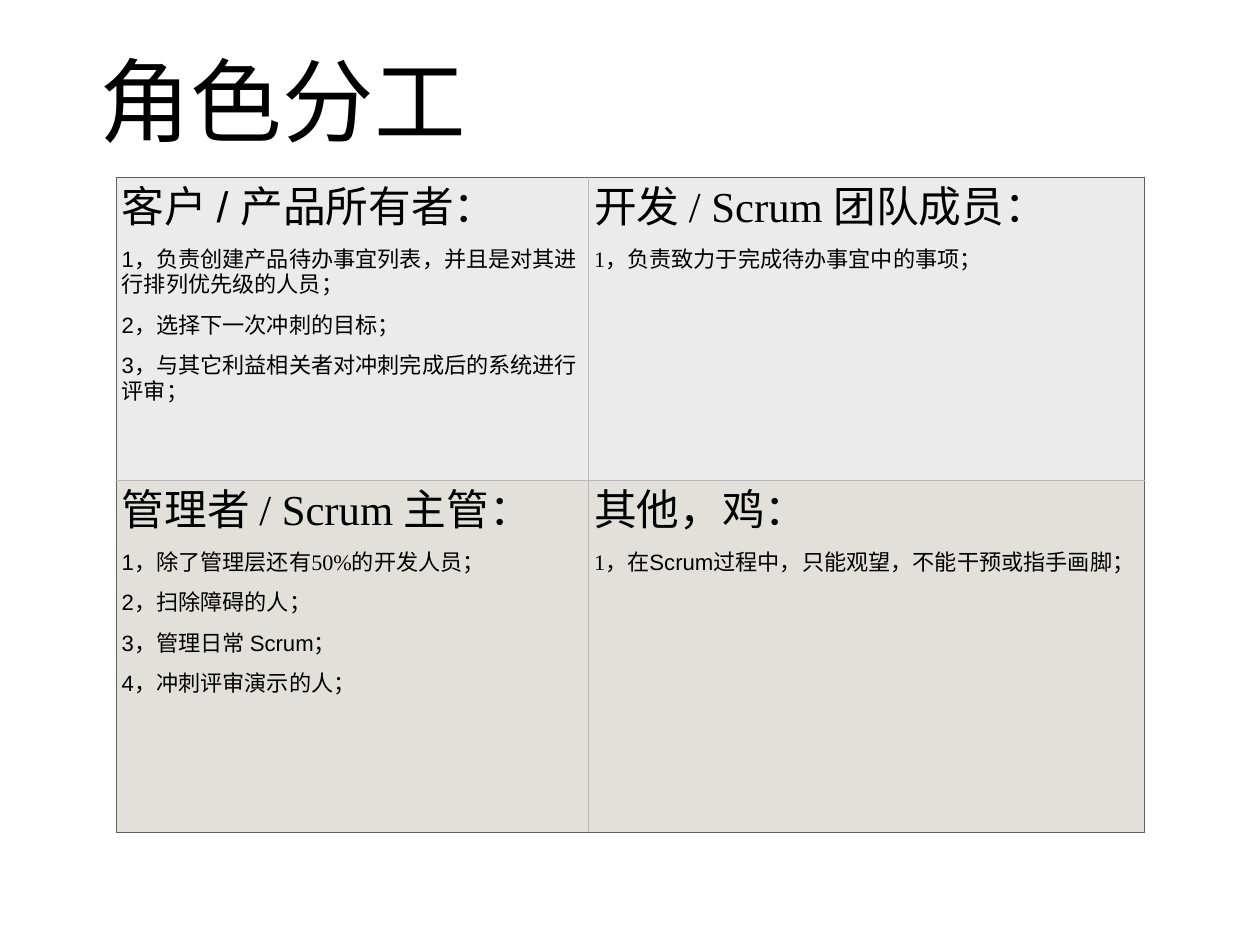
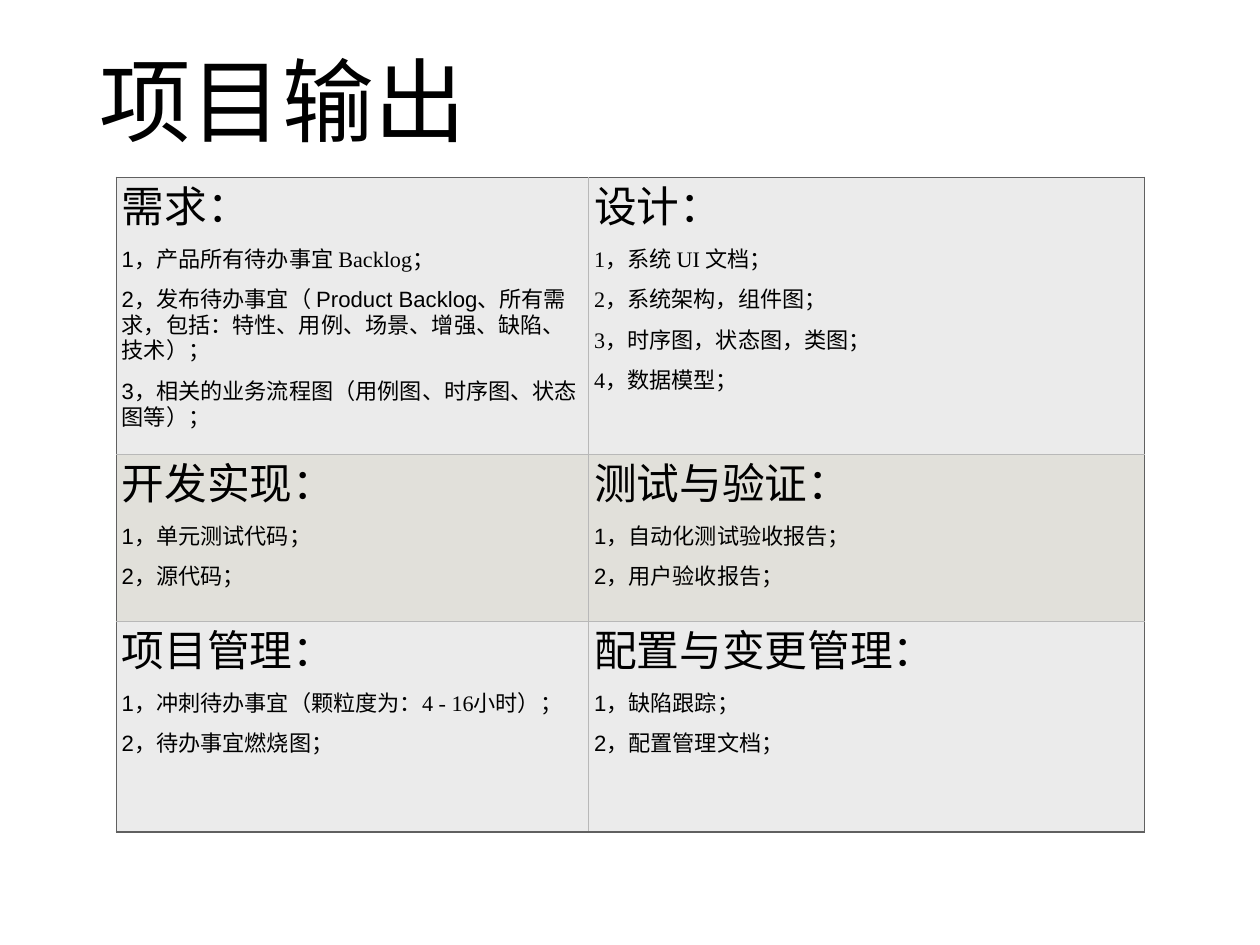
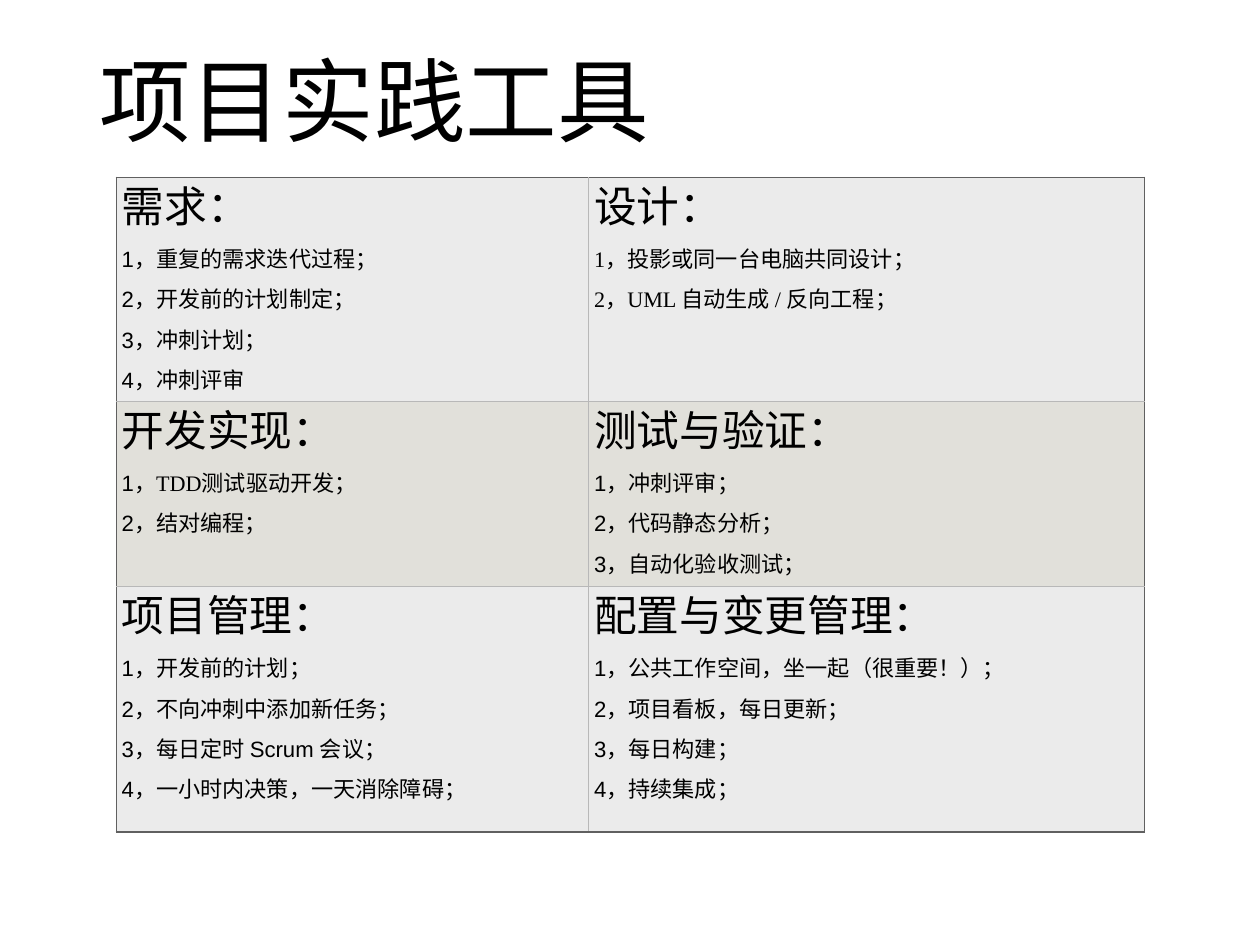
"""Build three slides on Scrum roles, project outputs and project tools."""
from lxml import etree
from pptx import Presentation
from pptx import util as u
from pptx.dml.color import RGBColor
from pptx.enum import lang, text
from pptx.oxml import ns

COLORS = {"text": "000000", "odd": "EBEBEB", "even": "E1E0DA",
          "outer": "606060", "inner": "B8B8B8"}
TITLE_FONT, HEADING_FONT, ITEM_FONT = "Roboto", "Times New Roman", "Arial"
MARGIN = u.Cm(0.16)
COLUMN_WIDTHS = [13.54, 15.95]

# In headings and items, "|" switches between the two body fonts.
SLIDES = [
    ("角色分工", [8.69, 10.11], [
        [["客户| / |产品所有者：",
          "1，|负责创建产品待办事宜列表，并且是对其进行排列优先级的人员；",
          "2，选择下⼀次冲刺的目标；",
          "3，与其它利益相关者对冲刺完成后的系统进⾏评审；"],
         ["开发 / Scrum 团队成员：",
          "|1，负责致力于完成待办事宜中的事项；"]],
        [["管理者 / Scrum 主管：",
          "1，|除了管理层还有50%的开发人员；",
          "2，扫除障碍的人；",
          "3，管理日常 Scrum；",
          "4，冲刺评审演示的人；"],
         ["其他，鸡：",
          "|1，|在Scrum过程中，只能观望，不能干预或指手画脚；"]],
    ]),
    ("项目输出", [7.95, 4.78, 6.05], [
        [["需求：",
          "1，|产品所有待办事宜 Backlog|；",
          "2，发布待办事宜（ Product Backlog、所有需求，包括：特性、用例、场景、增强、缺陷、技术）；",
          "3，相关的业务流程图（用例图、时序图、状态图等）；"],
         ["设计：",
          "|1，系统 UI 文档；",
          "|2，系统架构，组件图；",
          "|3，时序图，状态图，类图；",
          "|4，数据模型；"]],
        [["开发实现：", "1，|单元测试代码；", "2，源代码；"],
         ["测试与验证：", "1，自动化测试验收报告；", "2，用户验收报告；"]],
        [["项目管理：",
          "1，|冲刺待办事宜（颗粒度为：4 - 16小时）；",
          "2，待办事宜燃烧图；"],
         ["配置与变更管理：", "1，缺陷跟踪；", "2，配置管理文档；"]],
    ]),
    ("项目实践工具", [6.43, 5.31, 7.04], [
        [["需求：",
          "1，重复的需求迭代过程；",
          "2，开发前的计划制定；",
          "3，冲刺计划；",
          "4，冲刺评审"],
         ["设计：",
          "|1，投影或同一台电脑共同设计；",
          "|2，UML 自动生成 / 反向工程；"]],
        [["开发实现：", "1，|TDD测试驱动开发；", "2，结对编程；"],
         ["测试与验证：",
          "1，冲刺评审；",
          "2，代码静态分析；",
          "3，自动化验收测试；"]],
        [["项目管理：",
          "1，|开发前的计划；",
          "2，不向冲刺中添加新任务；",
          "3，每日定时 Scrum 会议；",
          "4，一小时内决策，一天消除障碍；"],
         ["配置与变更管理：",
          "1，公共工作空间，坐一起（很重要！）；",
          "2，项目看板，每日更新；",
          "3，每日构建；",
          "4，持续集成；"]],
    ]),
]


def write(frame, content, size, fonts, first=True, spacing=None, before=None):
    """Write one paragraph whose "|" marks alternate between the fonts."""
    paragraph = frame.paragraphs[0] if first else frame.add_paragraph()
    paragraph.line_spacing = spacing
    paragraph.space_before = before
    for index, part in enumerate(content.split("|")):
        if part:
            run = paragraph.add_run()
            run.text = part
            run.font.size = u.Pt(size)
            run.font.name = fonts[index % len(fonts)]
            run.font.color.rgb = RGBColor.from_string(COLORS["text"])
            run.font.language_id = lang.MSO_LANGUAGE_ID.SIMPLIFIED_CHINESE


def set_borders(cell, outer_sides):
    """Draw the four cell borders, darker on the outer sides."""
    properties = cell._tc.get_or_add_tcPr()
    for side in "LRTB":
        line = etree.SubElement(properties, ns.qn(f"a:ln{side}"), w=str(u.Pt(1)))
        fill = etree.SubElement(line, ns.qn("a:solidFill"))
        color = COLORS["outer" if side in outer_sides else "inner"]
        etree.SubElement(fill, ns.qn("a:srgbClr"), val=color)


deck = Presentation()
deck.slide_width, deck.slide_height = u.Cm(36.12), u.Cm(27.1)

for title, row_heights, rows in SLIDES:
    slide = deck.slides.add_slide(deck.slide_layouts[6])

    heading = slide.shapes.add_textbox(u.Cm(2.69), u.Cm(0.61), u.Cm(29.06), u.Cm(3.96)).text_frame
    heading.word_wrap = True
    heading.vertical_anchor = text.MSO_ANCHOR.BOTTOM
    heading.margin_left = heading.margin_right = MARGIN
    heading.margin_top = heading.margin_bottom = MARGIN
    write(heading, title, 74.4, [TITLE_FONT])

    grid = slide.shapes.add_table(
        len(rows), len(COLUMN_WIDTHS), u.Cm(3.33), u.Cm(5.08),
        u.Cm(sum(COLUMN_WIDTHS)), u.Cm(sum(row_heights))).table
    grid.first_row = grid.horz_banding = False
    for column, width in zip(grid.columns, COLUMN_WIDTHS):
        column.width = u.Cm(width)

    for r, topics in enumerate(rows):
        grid.rows[r].height = u.Cm(row_heights[r])
        for c, (topic, *items) in enumerate(topics):
            cell = grid.cell(r, c)
            cell.margin_left = cell.margin_right = MARGIN
            cell.margin_top = cell.margin_bottom = MARGIN
            outer_sides = "LR"[c]
            if r == 0:
                outer_sides += "T"
            if r == len(rows) - 1:
                outer_sides += "B"
            set_borders(cell, outer_sides)
            cell.fill.solid()
            cell.fill.fore_color.rgb = RGBColor.from_string(COLORS["even" if r % 2 else "odd"])
            spaced = {"spacing": 0.8, "before": u.Pt(12)}
            write(cell.text_frame, topic, 34.7, [HEADING_FONT, ITEM_FONT], **spaced)
            for item in items:
                write(cell.text_frame, item, 18, [ITEM_FONT, HEADING_FONT], first=False, **spaced)

deck.save("out.pptx")
